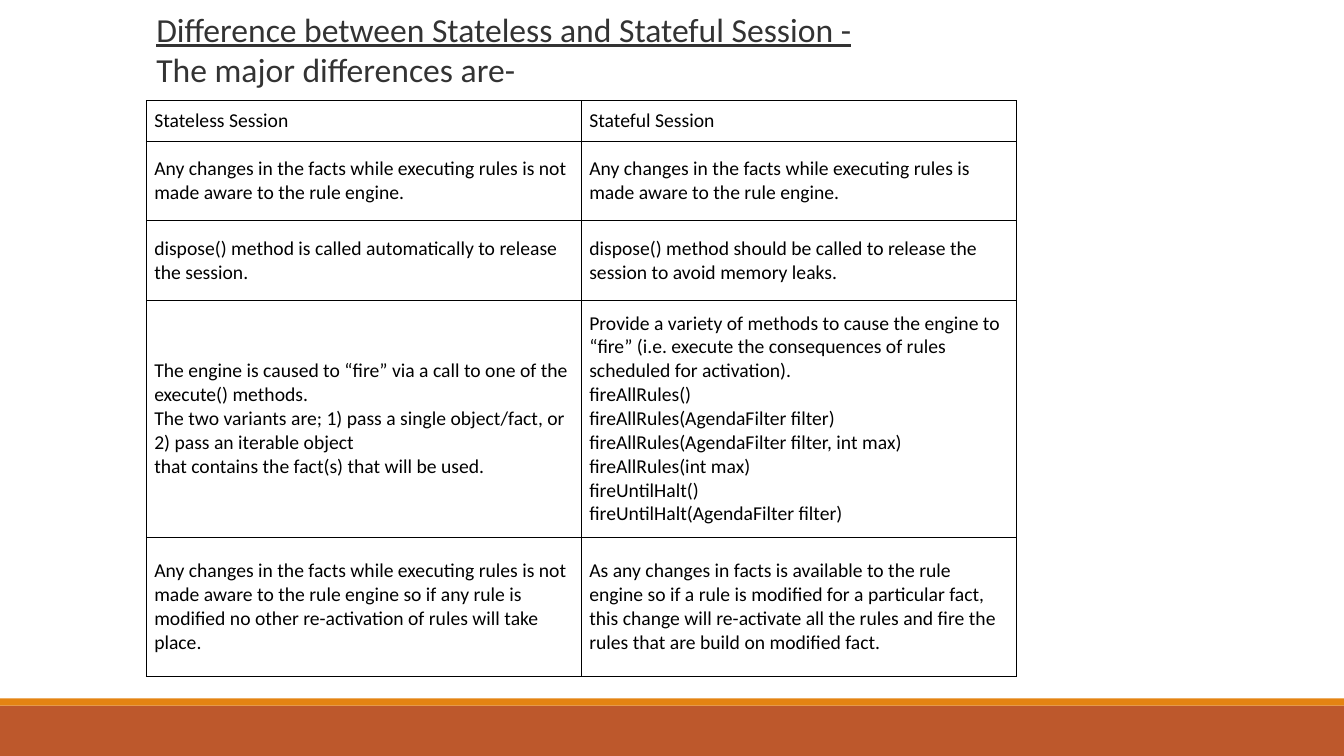
from dataclasses import dataclass

from lxml.etree import SubElement
from pptx import Presentation
from pptx.dml.color import RGBColor
from pptx.enum.shapes import MSO_SHAPE
from pptx.enum.text import MSO_ANCHOR, PP_ALIGN
from pptx.oxml.ns import qn
from pptx.util import Inches, Pt


@dataclass(frozen=True)
class Theme:
    """Colours, font and type sizes of the slide."""
    font: str = "Calibri"
    title_size: int = 24
    table_size: int = 14
    border_width: float = 0.75
    title_color: str = "333333"
    text_color: str = "000000"
    border_color: str = "000000"
    cell_color: str = "FFFFFF"
    band_color: str = "BD582C"
    stripe_color: str = "E48312"


THEME = Theme()
SLIDE_WIDTH, SLIDE_HEIGHT = 13.33, 7.5
ROW_HEIGHTS = (0.4, 0.79, 0.79, 2.35, 1.38)
TITLE_LINES = (
    "Difference between Stateless and Stateful Session -",
    "The major differences are-",
)
COMPARISON = (
    ("Stateless Session", "Stateful Session"),
    (
        "Any changes in the facts while executing rules is not made aware to the rule engine.",
        "Any changes in the facts while executing rules is made aware to the rule engine.",
    ),
    (
        "dispose() method is called automatically to release the session.",
        "dispose() method should be called to release the session to avoid memory leaks.",
    ),
    (
        "The engine is caused to “fire” via a call to one of the execute() methods.\n"
        "The two variants are; 1) pass a single object/fact, or 2) pass an iterable object\n"
        "that contains the fact(s) that will be used.",
        "Provide a variety of methods to cause the engine to “fire” "
        "(i.e. execute the consequences of rules scheduled for activation).\n"
        "fireAllRules()\n"
        "fireAllRules(AgendaFilter filter)\n"
        "fireAllRules(AgendaFilter filter, int max)\n"
        "fireAllRules(int max)\n"
        "fireUntilHalt()\n"
        "fireUntilHalt(AgendaFilter filter)",
    ),
    (
        "Any changes in the facts while executing rules is not made aware to the rule engine "
        "so if any rule is modified no other re-activation of rules will take place.",
        "As any changes in facts is available to the rule engine so if a rule is modified "
        "for a particular fact, this change will re-activate all the rules and fire the rules "
        "that are build on modified fact.",
    ),
)


def write_text(paragraph, text, *, size, color, underline=False):
    """Write one left-aligned run of formatted text into a paragraph."""
    paragraph.alignment = PP_ALIGN.LEFT
    run = paragraph.add_run()
    run.text = text
    run.font.name = THEME.font
    run.font.size = Pt(size)
    run.font.underline = underline
    run.font.color.rgb = RGBColor.from_string(color)


def write_lines(text_frame, lines, **text_format):
    """Write each line as a paragraph and return the paragraphs."""
    for index, line in enumerate(lines):
        paragraph = text_frame.paragraphs[0] if index == 0 else text_frame.add_paragraph()
        write_text(paragraph, line, **text_format)
    return text_frame.paragraphs


def add_bar(slide, left, top, width, height, color):
    """Add a plain filled rectangle."""
    bar = slide.shapes.add_shape(
        MSO_SHAPE.RECTANGLE, Inches(left), Inches(top), Inches(width), Inches(height)
    )
    bar.shadow.inherit = False
    bar.fill.solid()
    bar.fill.fore_color.rgb = RGBColor.from_string(color)
    bar.line.fill.background()


def add_footer(slide, left, top, width, height, stripe_height=0.07):
    """Fill the box with a thin stripe above a wide band."""
    add_bar(slide, left, top + stripe_height, width, height - stripe_height, THEME.band_color)
    add_bar(slide, left, top, width, stripe_height, THEME.stripe_color)


def add_title(slide, left, top, width, height):
    """Place the title placeholder with its underlined first line."""
    title = slide.shapes.title
    title.left, title.top = Inches(left), Inches(top)
    title.width, title.height = Inches(width), Inches(height)
    title.text_frame.word_wrap = True
    title.text_frame.vertical_anchor = MSO_ANCHOR.MIDDLE
    paragraphs = write_lines(
        title.text_frame, TITLE_LINES, size=THEME.title_size, color=THEME.title_color
    )
    paragraphs[0].runs[0].font.underline = True


def style_cell(cell):
    """Give a cell its borders, fill, margins and anchor."""
    properties = cell._tc.get_or_add_tcPr()
    for side in ("L", "R", "T", "B"):
        border = SubElement(properties, qn(f"a:ln{side}"), w=str(Pt(THEME.border_width)))
        fill = SubElement(border, qn("a:solidFill"))
        SubElement(fill, qn("a:srgbClr"), val=THEME.border_color)
    cell.fill.solid()
    cell.fill.fore_color.rgb = RGBColor.from_string(THEME.cell_color)
    cell.margin_left = cell.margin_right = Inches(0.08)
    cell.margin_top = cell.margin_bottom = Inches(0.08)
    cell.vertical_anchor = MSO_ANCHOR.MIDDLE


def add_comparison(slide, left, top, width, height):
    """Add the two-column comparison table in the given box."""
    table = slide.shapes.add_table(
        len(COMPARISON), len(COMPARISON[0]),
        Inches(left), Inches(top), Inches(width), Inches(height),
    ).table
    table.first_row = table.horz_banding = False
    for row, row_height, texts in zip(table.rows, ROW_HEIGHTS, COMPARISON):
        row.height = Inches(row_height)
        for cell, text in zip(row.cells, texts):
            style_cell(cell)
            write_lines(
                cell.text_frame, text.split("\n"), size=THEME.table_size, color=THEME.text_color
            )


def main():
    """Build the slide and save the presentation."""
    presentation = Presentation()
    presentation.slide_width = Inches(SLIDE_WIDTH)
    presentation.slide_height = Inches(SLIDE_HEIGHT)
    slide = presentation.slides.add_slide(presentation.slide_layouts[5])
    content_left, content_width = 1.45, 8.63
    add_footer(slide, 0, 6.93, SLIDE_WIDTH, SLIDE_HEIGHT - 6.93)
    add_comparison(slide, content_left, 1, content_width, sum(ROW_HEIGHTS))
    add_title(slide, content_left, 0.03, content_width, 0.91)
    presentation.save("out.pptx")


if __name__ == "__main__":
    main()
